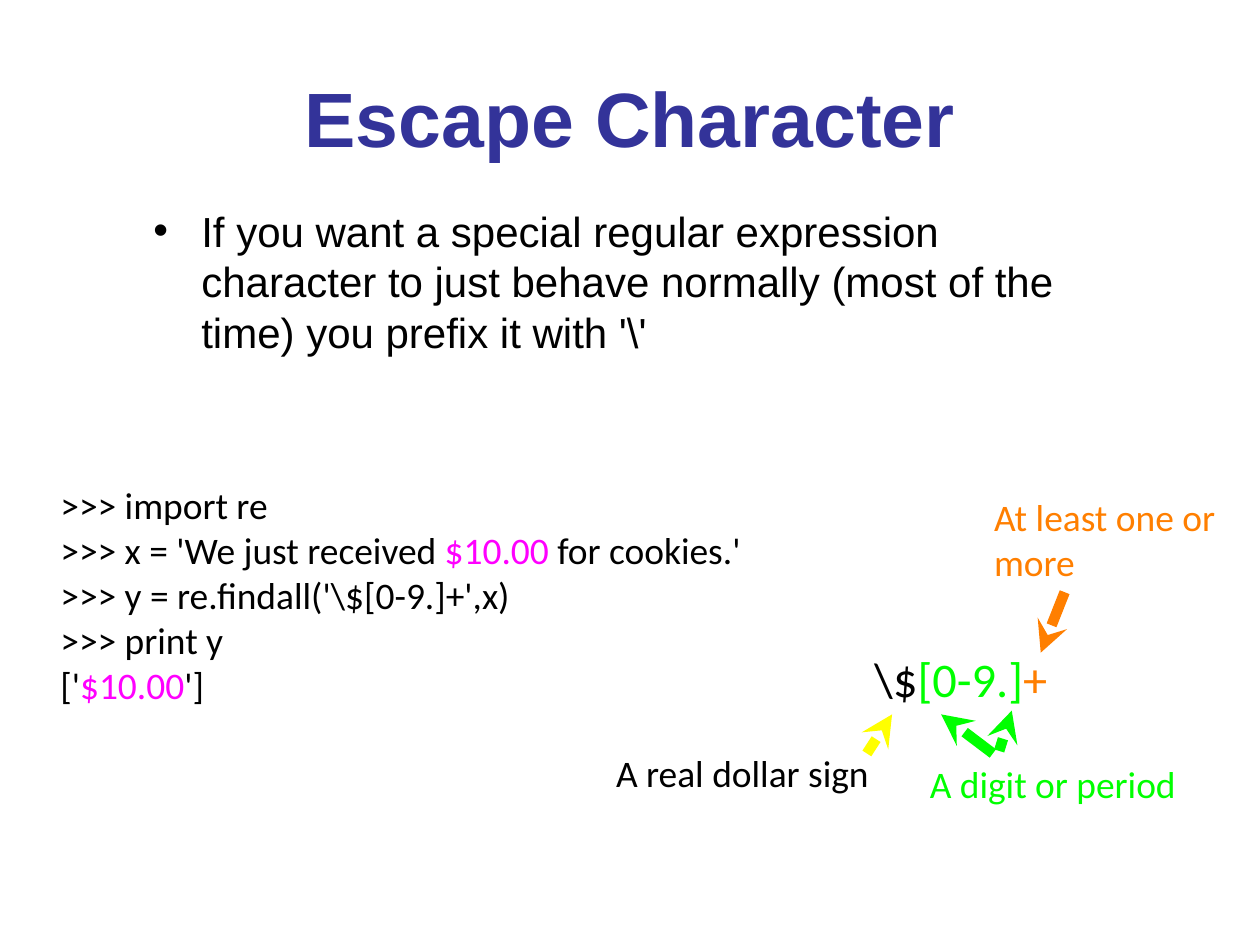
from dataclasses import dataclass

import pptx
import pptx.dml.color
import pptx.enum.shapes
import pptx.enum.text
import pptx.oxml.ns
import pptx.util
from lxml import etree
from pptx.util import Inches

Align = pptx.enum.text.PP_ALIGN
Anchor = pptx.enum.text.MSO_ANCHOR


@dataclass(frozen=True)
class Theme:
    head: str = "Arial"
    code: str = "Calibri"
    ink: str = "000000"
    navy: str = "333399"
    pink: str = "FF00FF"
    green: str = "00FF00"
    orange: str = "FF7F00"
    yellow: str = "FFFF00"
    title: float = 44
    body: float = 24
    note: float = 21.4
    regex: float = 27.6
    line: float = 6


THEME = Theme()
Run = tuple[str, str]
Box = tuple[float, float, float, float]
Point = tuple[float, float]


@dataclass(frozen=True)
class Label:
    box: Box
    lines: list[list[Run]]
    size: float = THEME.note
    wrap: bool = False


@dataclass(frozen=True)
class Arrow:
    tip: Point
    tail: Point
    color: str


LABELS = [
    Label((0.48, 3.82, 5.7, 1.8), [
        [(">>> import re", THEME.ink)],
        [(">>> x = 'We just received ", THEME.ink), ("$10.00", THEME.pink),
         (" for cookies.'", THEME.ink)],
        [(">>> y = re.findall('\\$[0-9.]+',x)", THEME.ink)],
        [(">>> print y", THEME.ink)],
        [("['", THEME.ink), ("$10.00", THEME.pink), ("']", THEME.ink)],
    ]),
    Label((6.94, 5.15, 1.39, 0.46), [
        [("\\$", THEME.ink), ("[0-9.]", THEME.green), ("+", THEME.orange)],
    ], THEME.regex),
    Label((7.38, 6.04, 2.04, 0.36), [[("A digit or period", THEME.green)]]),
    Label((4.89, 5.95, 2.06, 0.36), [[("A real dollar sign", THEME.ink)]]),
    Label((7.89, 3.9, 1.77, 0.75), [[("At least one or more", THEME.orange)]],
          wrap=True),
]

ARROWS = [
    Arrow((7.08, 5.67), (6.88, 5.98), THEME.yellow),
    Arrow((7.47, 5.67), (7.88, 5.98), THEME.green),
    Arrow((8.03, 5.64), (7.93, 5.96), THEME.green),
    Arrow((8.26, 5.18), (8.45, 4.7), THEME.orange),
]


def rgb(code: str) -> pptx.dml.color.RGBColor:
    return pptx.dml.color.RGBColor.from_string(code)


def add_tag(node, name: str, **attrs: str):
    return etree.SubElement(node, pptx.oxml.ns.qn(name), attrs)


def set_font(para, face: str, size: float, color: str | None = None) -> None:
    para.font.name = face
    para.font.size = pptx.util.Pt(size)
    if color:
        para.font.color.rgb = rgb(color)


def draw_title(slide) -> None:
    title = slide.shapes.title
    title.left, title.top = Inches(0.5), Inches(0.3)
    title.width, title.height = Inches(9), Inches(1.25)
    frame = title.text_frame
    frame.text = "Escape Character"
    frame.vertical_anchor = Anchor.MIDDLE
    para = frame.paragraphs[0]
    para.alignment = Align.CENTER
    set_font(para, THEME.head, THEME.title, THEME.navy)
    para.font.bold = True


def draw_body(slide) -> None:
    box = slide.shapes.add_textbox(
        Inches(0.82), Inches(1.58), Inches(8.14), Inches(0.98))
    frame = box.text_frame
    frame.word_wrap = True
    para = frame.paragraphs[0]
    para.text = ("If you want a special regular expression character to just "
                 "behave normally (most of the time) you prefix it with '\\'")
    para.space_before = pptx.util.Pt(3.6)
    props = para._p.get_or_add_pPr()
    props.set("marL", str(Inches(0.68)))
    props.set("indent", str(Inches(-0.38)))
    add_tag(add_tag(props, "a:buClr"), "a:srgbClr", val=THEME.ink)
    add_tag(props, "a:buFont", typeface=THEME.head)
    add_tag(props, "a:buChar", char="•")
    set_font(para, THEME.head, THEME.body, THEME.ink)


def draw_label(slide, label: Label) -> None:
    box = slide.shapes.add_textbox(*map(Inches, label.box))
    frame = box.text_frame
    frame.word_wrap = label.wrap
    frame.vertical_anchor = Anchor.MIDDLE
    frame.margin_left = frame.margin_right = 0
    frame.margin_top = frame.margin_bottom = 0
    if not label.wrap:
        frame.auto_size = pptx.enum.text.MSO_AUTO_SIZE.SHAPE_TO_FIT_TEXT
    for row, runs in enumerate(label.lines):
        para = frame.add_paragraph() if row else frame.paragraphs[0]
        para.alignment = Align.LEFT
        set_font(para, THEME.code, label.size)
        for text, color in runs:
            run = para.add_run()
            run.text = text
            run.font.color.rgb = rgb(color)


def draw_arrow(slide, arrow: Arrow) -> None:
    line = slide.shapes.add_connector(
        pptx.enum.shapes.MSO_CONNECTOR.STRAIGHT,
        *map(Inches, arrow.tip + arrow.tail))
    line.line.color.rgb = rgb(arrow.color)
    line.line.width = pptx.util.Pt(THEME.line)
    add_tag(line.line._get_or_add_ln(), "a:headEnd", type="stealth")
    add_tag(line._element.spPr, "a:effectLst")


def main() -> None:
    deck = pptx.Presentation()
    deck.slide_width, deck.slide_height = Inches(10), Inches(7.5)
    slide = deck.slides.add_slide(deck.slide_layouts[5])
    draw_title(slide)
    draw_body(slide)
    for label in LABELS:
        draw_label(slide, label)
    for arrow in ARROWS:
        draw_arrow(slide, arrow)
    deck.save("out.pptx")


if __name__ == "__main__":
    main()
